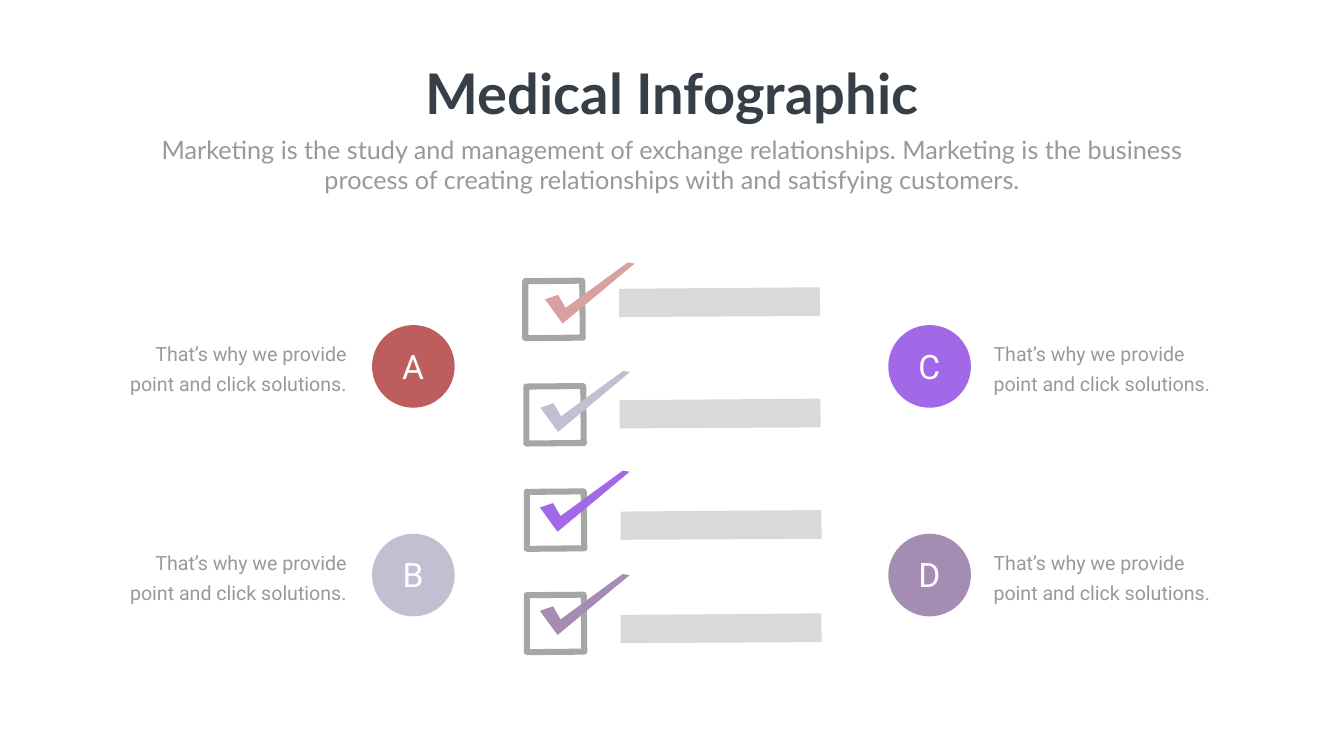
from pptx import Presentation
from pptx.dml.color import RGBColor
from pptx.enum.shapes import MSO_SHAPE as Shape
from pptx.enum.text import MSO_AUTO_SIZE as AutoSize, PP_ALIGN as Align
from pptx.util import Inches, Pt

THEME = {
    "red": "BE5D5D", "rose": "D9A0A0", "lilac": "C2BFD2",
    "violet": "A169E8", "mauve": "A58CB2", "frame": "A6A6A6", "bar": "D9D9D9",
    "title": {"size": Pt(80), "name": "Lato", "bold": True, "color": "363E48"},
    "subtitle": {"size": Pt(36), "name": "Lato", "color": "999999"},
    "letter": {"size": Pt(48), "name": "Roboto", "color": "FFFFFF"},
    "caption": {"size": Pt(28), "name": "Roboto", "color": "999999"},
}

TITLE = "Medical Infographic"
SUBTITLE = ("Marketing is the study and management of exchange relationships. "
            "Marketing is the business process of creating relationships with "
            "and satisfying customers.")
CAPTION = "That’s why we provide point and click solutions."

# letter, colour, column, row
BADGES = [("A", "red", 0, 0), ("C", "violet", 1, 0),
          ("B", "lilac", 0, 1), ("D", "mauve", 1, 1)]
# badge left, caption left, caption alignment
COLUMNS = [(7.38, 2.05, Align.RIGHT), (17.62, 19.61, Align.LEFT)]
BADGE_TOP, BADGE_PITCH, BADGE_SIZE = 6.45, 4.14, 1.64

# tick colour, then left and top of frame, tick and bar
CHECKLIST = [
    ("rose", (10.36, 5.51), (10.81, 5.21), (12.28, 5.70)),
    ("lilac", (10.38, 7.60), (10.72, 7.36), (12.29, 7.91)),
    ("violet", (10.39, 9.69), (10.71, 9.34), (12.31, 10.12)),
    ("mauve", (10.39, 11.74), (10.71, 11.39), (12.31, 12.17)),
]
# Hand-drawn outlines, in inches from their own top left
FRAME = [
    [(0, 0.07), (0.02, 0.02), (0.06, 0.01), (1.19, 0), (1.23, 0.02), (1.25, 0.07),
     (1.26, 1.20), (1.24, 1.24), (1.19, 1.25), (0.07, 1.26), (0.02, 1.24), (0, 1.21)],
    [(1.14, 1.13), (0.12, 1.14), (0.12, 0.13), (1.13, 0.12)],
]
TICK = [[(0, 0.73), (0.26, 0.64), (0.41, 0.90), (1.64, 0), (1.78, 0.02), (0.35, 1.21)]]
BAR = [[(3.98, 0), (0, 0.03), (0, 0.59), (3.99, 0.57)]]


def paint(shape, color):
    shape.shadow.inherit = False
    shape.fill.solid()
    shape.fill.fore_color.rgb = RGBColor.from_string(THEME[color])
    shape.line.fill.background()


def add_text(shapes, text, place, style, align=Align.CENTER, spacing=None, wrap=True):
    box = shapes.add_textbox(*map(Inches, place))
    frame = box.text_frame
    frame.word_wrap = wrap
    frame.auto_size = AutoSize.SHAPE_TO_FIT_TEXT
    para = frame.paragraphs[0]
    para.alignment = align
    para.line_spacing = spacing
    span = para.add_run()
    span.text = text
    for name, value in THEME[style].items():
        if name == "color":
            span.font.color.rgb = RGBColor.from_string(value)
        else:
            setattr(span.font, name, value)


def add_outline(shapes, contours, origin, color):
    """Draw closed contours as one shape; a contour inside another is a hole."""
    left, top = origin
    placed = [[(Inches(left + x), Inches(top + y)) for x, y in contour]
              for contour in contours]
    builder = shapes.build_freeform(*placed[0][0])
    for index, (start, *rest) in enumerate(placed):
        if index:
            builder.move_to(*start)
        builder.add_line_segments(rest, close=True)
    paint(builder.convert_to_shape(), color)


def add_badge(shapes, letter, color, column, row):
    left, caption_left, align = COLUMNS[column]
    top = BADGE_TOP + row * BADGE_PITCH
    circle = shapes.add_shape(
        Shape.OVAL, *map(Inches, (left, top, BADGE_SIZE, BADGE_SIZE)))
    paint(circle, color)
    add_text(shapes, letter, (left + 0.32, top + 0.36, 0.99, 0.91), "letter")
    add_text(shapes, CAPTION, (caption_left, top + 0.16, 4.92, 1.25),
             "caption", align, Pt(43))


def main():
    deck = Presentation()
    deck.slide_width, deck.slide_height = Inches(26.66), Inches(15)
    page = deck.slides.add_slide(deck.slide_layouts[6])

    badges = page.shapes.add_group_shape().shapes
    for badge in BADGES:
        add_badge(badges, *badge)

    heading = page.shapes.add_group_shape().shapes
    add_text(heading, TITLE, (8.24, 1.12, 10.19, 1.45), "title", wrap=False)
    add_text(heading, SUBTITLE, (2.92, 2.61, 20.82, 1.31), "subtitle")

    checklist = page.shapes.add_group_shape().shapes
    for color, frame_at, tick_at, bar_at in CHECKLIST:
        add_outline(checklist, FRAME, frame_at, "frame")
        add_outline(checklist, TICK, tick_at, color)
        add_outline(checklist, BAR, bar_at, "bar")

    deck.save("out.pptx")


if __name__ == "__main__":
    main()
